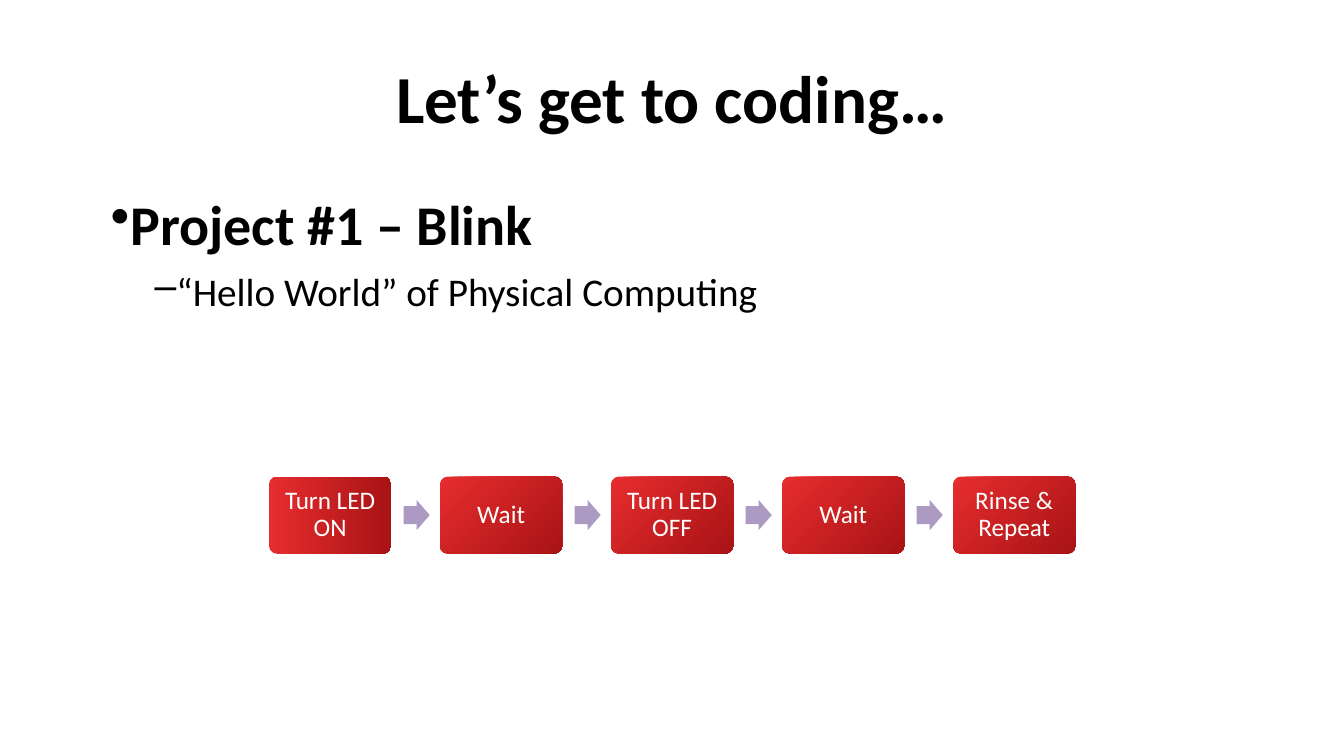
from lxml import etree
from pptx import Presentation
from pptx.dml.color import RGBColor
from pptx.enum.shapes import MSO_SHAPE
from pptx.enum.text import MSO_ANCHOR, PP_ALIGN
from pptx.oxml.ns import qn
from pptx.util import Cm, Pt

BLACK = RGBColor(0x00, 0x00, 0x00)
WHITE = RGBColor(0xFF, 0xFF, 0xFF)
RED = RGBColor(0xE7, 0x2D, 0x2F)
DARK = RGBColor(0xA8, 0x13, 0x15)
MAUVE = RGBColor(0xAC, 0x9A, 0xC3)
BOX, ARROW = MSO_SHAPE.ROUNDED_RECTANGLE, MSO_SHAPE.RIGHT_ARROW
MIDDLE = MSO_ANCHOR.MIDDLE
LEFT, CENTER = PP_ALIGN.LEFT, PP_ALIGN.CENTER


def write(para, text, size, color=BLACK, bold=False, align=LEFT, bullet=None, indent=0):
    run = para.add_run()
    run.text = text
    font = run.font
    font.name, font.size, font.bold = "Calibri", Pt(size), bold
    font.color.rgb = color
    para.alignment = align
    if bullet:
        props = para._p.get_or_add_pPr()
        props.set("marL", str(Cm(indent)))
        props.set("indent", "0")
        etree.SubElement(props, qn("a:buChar"), char=bullet)


def add_part(kind, left, top, width, height):
    part = slide.shapes.add_shape(kind, Cm(left), Cm(top), Cm(width), Cm(height))
    part.shadow.inherit = False
    part.line.fill.background()
    return part


prs = Presentation()
prs.slide_width, prs.slide_height = Cm(33.87), Cm(19.05)
slide = prs.slides.add_slide(prs.slide_layouts[5])

title = slide.shapes.title
title.left, title.top, title.width, title.height = Cm(2.54), Cm(0.85), Cm(28.78), Cm(3.18)
title.text_frame.vertical_anchor = MIDDLE
write(title.text_frame.paragraphs[0], "Let’s get to coding…", 48, bold=True, align=CENTER)

body = slide.shapes.add_textbox(Cm(2.54), Cm(4.66), Cm(28.78), Cm(12.27)).text_frame
body.word_wrap = True
write(body.paragraphs[0], "Project #1 – Blink", 40, bold=True, bullet="•")
sub = body.add_paragraph()
sub.space_before = Pt(7)
write(sub, "“Hello World” of Physical Computing", 28, bullet="–", indent=1.11)

# Flow of steps, joined by arrows
steps = ["Turn LED ON", "Wait", "Turn LED OFF", "Wait", "Rinse & Repeat"]
start, pitch = 6.78, 4.31
for i, step in enumerate(steps):
    left = start + i * pitch
    box = add_part(BOX, left, 12.01, 3.08, 1.94)
    box.adjustments[0] = 0.1
    box.fill.gradient()
    box.fill.gradient_angle = 315 if i else 0
    for stop, color in zip(box.fill.gradient_stops, (RED, DARK)):
        stop.color.rgb = color
    frame = box.text_frame
    frame.word_wrap = True
    frame.vertical_anchor = MIDDLE
    frame.margin_left = frame.margin_right = Cm(0.23)
    frame.margin_top = frame.margin_bottom = Cm(0.23)
    para = frame.paragraphs[0]
    para.line_spacing = 0.9
    write(para, step, 18, color=WHITE, align=CENTER)

    if i < len(steps) - 1:
        arrow = add_part(ARROW, left + 3.39, 12.6, 0.66, 0.76)
        arrow.adjustments[0] = 0.6
        arrow.fill.solid()
        arrow.fill.fore_color.rgb = MAUVE

prs.save("out.pptx")
